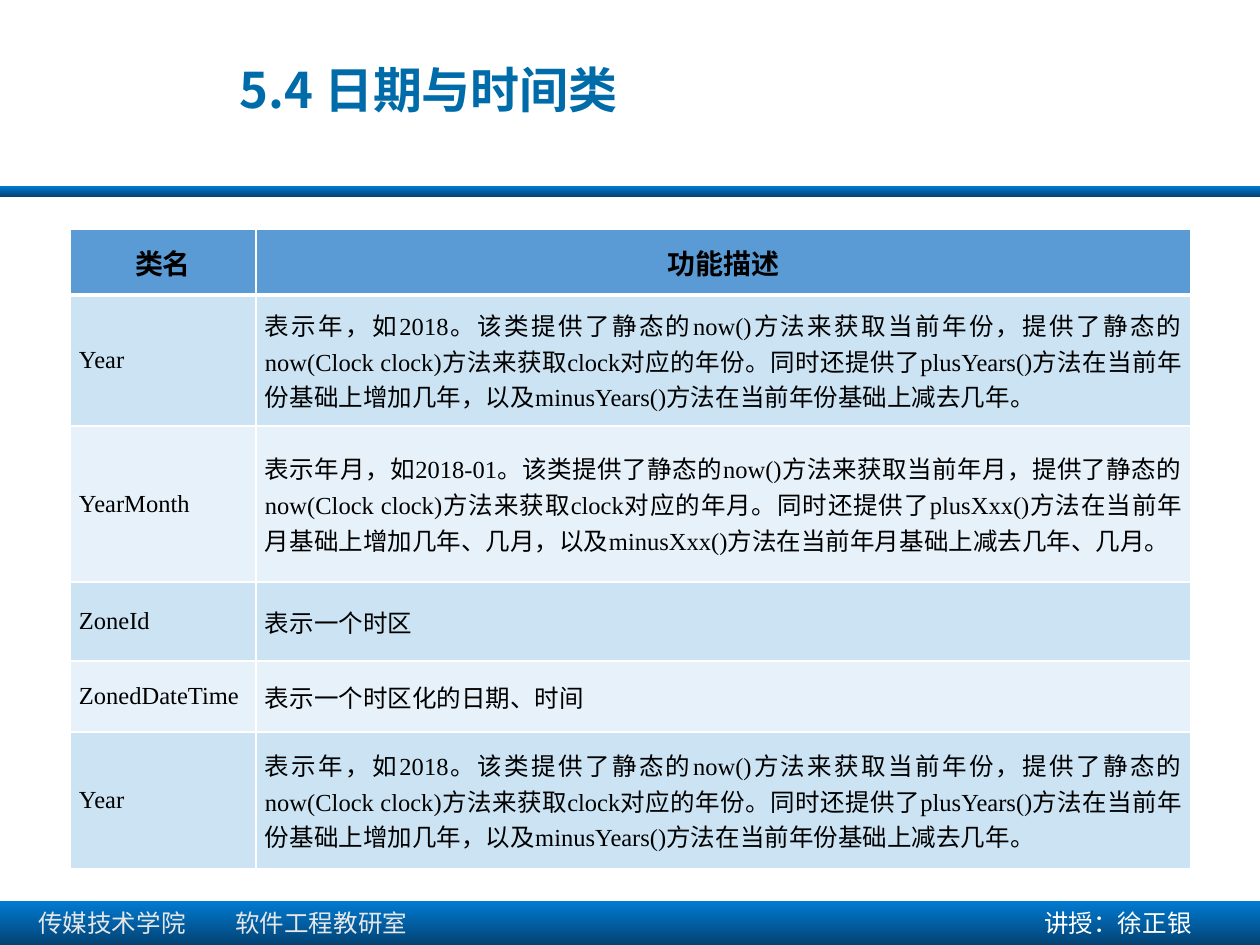
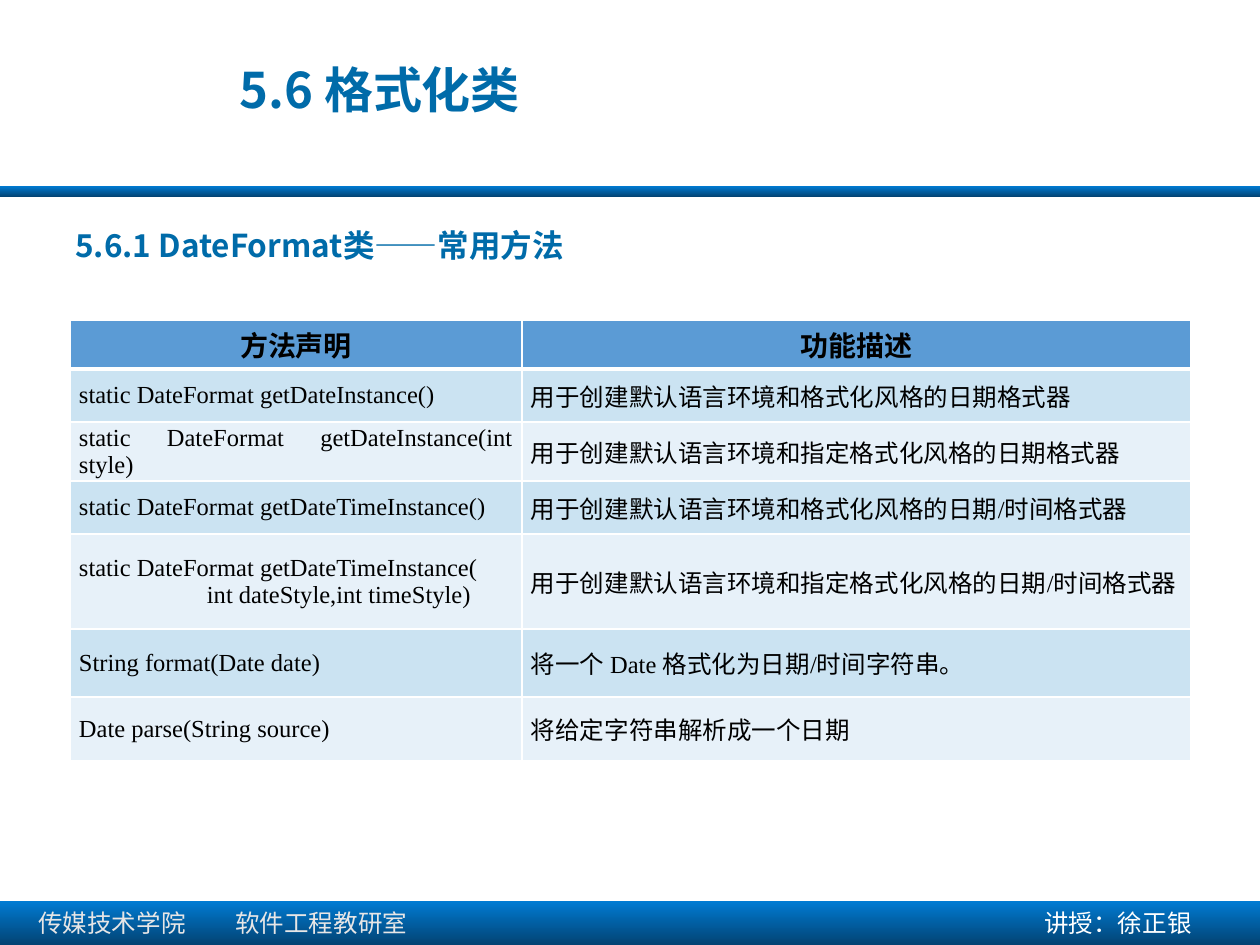
from lxml.etree import SubElement
from pptx import Presentation
from pptx.dml.color import RGBColor
from pptx.enum.shapes import MSO_SHAPE as Preset
from pptx.enum.text import MSO_ANCHOR as Anchor, PP_ALIGN as Align
from pptx.oxml.ns import qn
from pptx.util import Emu, Pt

EMU_PER_INCH, PX_PER_INCH = 914400, 126
SLIDE_W, SLIDE_H = 1260, 945
TABLE_LEFT, CELL_INSET = 70, 9
TITLE_BLUE, BAND_TOP, BAND_BOTTOM = "006BA9", "007BD3", "034373"
HEADER_FILL, ROW_FILLS = "5B9BD5", ("CBE3F2", "E7F1F9")
WHITE, BLACK, PALE_GREY = "FFFFFF", "000000", "E7E6E6"
SANS, SERIF, FOOTER_FONT = "Noto Sans CJK SC", "Times New Roman", "Arial"

YEAR_ROW = (
    "Year",
    "表示年，如2018。该类提供了静态的now()方法来获取当前年份，"
    "提供了静态的now(Clock clock)方法来获取clock对应的年份。"
    "同时还提供了plusYears()方法在当前年份基础上增加几年，"
    "以及minusYears()方法在当前年份基础上减去几年。",
)
TIME_CLASSES = [
    ("类名", "功能描述"),
    YEAR_ROW,
    (
        "YearMonth",
        "表示年月，如2018-01。该类提供了静态的now()方法来获取当前年月，"
        "提供了静态的now(Clock clock)方法来获取clock对应的年月。"
        "同时还提供了plusXxx()方法在当前年月基础上增加几年、几月，"
        "以及minusXxx()方法在当前年月基础上减去几年、几月。",
    ),
    ("ZoneId", "表示一个时区"),
    ("ZonedDateTime", "表示一个时区化的日期、时间"),
    YEAR_ROW,
]
FORMAT_METHODS = [
    ("方法声明", "功能描述"),
    ("static DateFormat getDateInstance()",
     "用于创建默认语言环境和格式化风格的日期格式器"),
    ("static DateFormat getDateInstance(int style)",
     "用于创建默认语言环境和指定格式化风格的日期格式器"),
    ("static DateFormat getDateTimeInstance()",
     "用于创建默认语言环境和格式化风格的日期/时间格式器"),
    ("static DateFormat getDateTimeInstance(\nint dateStyle,int timeStyle)",
     "用于创建默认语言环境和指定格式化风格的日期/时间格式器"),
    ("String format(Date date)", "将一个 Date 格式化为日期/时间字符串。"),
    ("Date parse(String source)", "将给定字符串解析成一个日期"),
]


def px(length):
    return Emu(round(length * EMU_PER_INCH / PX_PER_INCH))


def color(hex_string):
    return RGBColor.from_string(hex_string)


def write(frame, text, *, size, font, ink, bold=False, align=Align.LEFT,
          line_spacing=1.0, tab=None, continuation_indent=0):
    frame.word_wrap = True
    for index, line in enumerate(text.split("\n")):
        paragraph = frame.add_paragraph() if index else frame.paragraphs[0]
        paragraph.alignment = align
        paragraph.line_spacing = line_spacing
        properties = paragraph._p.get_or_add_pPr()
        if index:
            properties.set("indent", str(px(continuation_indent)))
        if tab:
            stops = SubElement(properties, qn("a:tabLst"))
            SubElement(stops, qn("a:tab"), pos=str(px(tab)), algn="l")
        run = paragraph.add_run()
        run.text = line
        run.font.size, run.font.bold, run.font.name = Pt(size), bold, font
        run.font.color.rgb = color(ink)
        SubElement(run._r.get_or_add_rPr(), qn("a:ea"), typeface=SANS)


def add_text(slide, text, left, top, width, height, anchor=Anchor.TOP, **style):
    box = slide.shapes.add_textbox(px(left), px(top), px(width), px(height))
    box.text_frame.vertical_anchor = anchor
    write(box.text_frame, text, **style)


def add_band(slide, top, height):
    band = slide.shapes.add_shape(
        Preset.RECTANGLE, 0, px(top), px(SLIDE_W), px(height))
    band.shadow.inherit = False
    band.line.fill.background()
    band.fill.gradient()
    band.fill.gradient_angle = 270
    for stop, shade, position in zip(
            band.fill.gradient_stops, (BAND_TOP, BAND_BOTTOM), (0, 1)):
        stop.color.rgb = color(shade)
        stop.position = position


def set_borders(cell, top, bottom):
    properties = cell._tc.get_or_add_tcPr()
    widths = {"a:lnL": 1, "a:lnR": 1, "a:lnT": top, "a:lnB": bottom}
    for index, (edge, width) in enumerate(widths.items()):
        line = SubElement(properties, qn(edge), w=str(Pt(width)))
        fill = SubElement(line, qn("a:solidFill"))
        SubElement(fill, qn("a:srgbClr"), val=WHITE)
        properties.insert(index, line)


def add_banded_table(slide, rows, top, column_widths, row_heights):
    table = slide.shapes.add_table(
        len(rows), len(column_widths), px(TABLE_LEFT), px(top),
        px(sum(column_widths)), px(sum(row_heights))).table
    for column, width in zip(table.columns, column_widths):
        column.width = px(width)
    for r, (entries, height) in enumerate(zip(rows, row_heights)):
        table.rows[r].height = px(height)
        header = r == 0
        for c, entry in enumerate(entries):
            cell = table.cell(r, c)
            cell.vertical_anchor = Anchor.MIDDLE
            cell.margin_left = cell.margin_right = px(CELL_INSET)
            cell.margin_top = cell.margin_bottom = 0
            cell.fill.solid()
            cell.fill.fore_color.rgb = color(
                HEADER_FILL if header else ROW_FILLS[(r - 1) % 2])
            set_borders(cell, 3 if r == 1 else 1, 3 if header else 1)
            write(cell.text_frame, entry, size=16 if header else 14,
                  font=SERIF, ink=BLACK, bold=header,
                  align=Align.CENTER if header else Align.JUSTIFY,
                  continuation_indent=128)


def add_lesson_slide(deck, title):
    slide = deck.slides.add_slide(deck.slide_layouts[6])
    add_band(slide, 186, 11)
    add_band(slide, 901, 44)
    footer = dict(size=14, font=FOOTER_FONT)
    add_text(slide, "传媒技术学院\t软件工程教研室", 26, 902, 476, 43,
             ink=PALE_GREY, tab=197, **footer)
    add_text(slide, "讲授：徐正银", 1032, 902, 224, 43, ink=WHITE, **footer)
    add_text(slide, title, 227, 54, 735, 77, Anchor.MIDDLE, size=28,
             font=SANS, ink=TITLE_BLUE, bold=True, line_spacing=0.9)
    return slide


def main():
    deck = Presentation()
    deck.slide_width, deck.slide_height = px(SLIDE_W), px(SLIDE_H)

    time_slide = add_lesson_slide(deck, "5.4 日期与时间类")
    add_banded_table(time_slide, TIME_CLASSES, 229, (186, 935),
                     (66, 131, 156, 79, 71, 137))

    format_slide = add_lesson_slide(deck, "5.6 格式化类")
    add_text(format_slide, "5.6.1 DateFormat类——常用方法", 63, 224, 1134, 89,
             size=18, font=SANS, ink=TITLE_BLUE, bold=True, line_spacing=0.9)
    add_banded_table(format_slide, FORMAT_METHODS, 320, (452, 669),
                     (49, 53, 54, 53, 95, 68, 64))

    deck.save("out.pptx")


if __name__ == "__main__":
    main()
